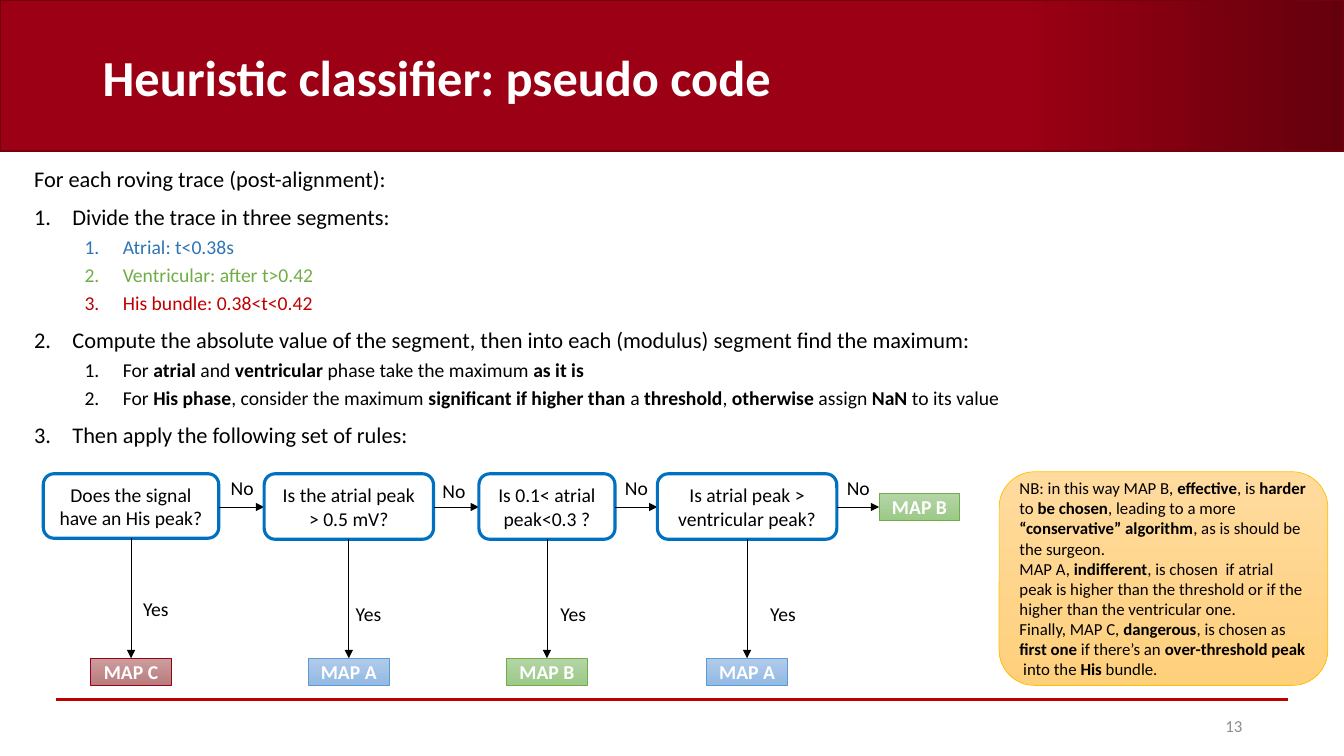
import pptx
import pptx.util
import pptx.dml.color
import pptx.enum.shapes
import pptx.enum.text
import lxml.etree
import pptx.oxml.ns

Inches = pptx.util.Inches
Pt = pptx.util.Pt
SHAPES = pptx.enum.shapes.MSO_SHAPE
ALIGN = pptx.enum.text.PP_ALIGN
ANCHOR = pptx.enum.text.MSO_ANCHOR

# Bold words stand between ** marks.
TITLE = "**Heuristic classifier: pseudo code**"
PAGE_NUMBER = "13"

# Outline level (None is unnumbered), colour name, text
STEPS = [
    (None, "black", "For each roving trace (post-alignment):"),
    (0, "black", "Divide the trace in three segments:"),
    (1, "atrial", "Atrial: t<0.38s"),
    (1, "ventricular", "Ventricular: after t>0.42"),
    (1, "red", "His bundle: 0.38<t<0.42"),
    (0, "black", "Compute the absolute value of the segment, then into each "
                 "(modulus) segment find the maximum:"),
    (1, "black", "For **atrial** and **ventricular** phase take the maximum **as it is**"),
    (1, "black", "For **His phase**, consider the maximum **significant if higher than** a "
                 "**threshold**, **otherwise** assign **NaN** to its value"),
    (0, "black", "Then apply the following set of rules:"),
]

# Question, left, width, height, map on yes, place of "Yes", place of "No"
QUESTIONS = [
    ("Does the signal have an His peak?", 0.43, 1.74, 0.64, "MAP C", (1.32, 5.87), (2.19, 4.67)),
    ("Is the atrial peak > 0.5 mV?", 2.62, 1.68, 0.65, "MAP A", (3.43, 5.92), (4.29, 4.7)),
    ("Is 0.1< atrial peak<0.3 ?", 4.75, 1.35, 0.65, "MAP B", (5.46, 5.92), (6.1, 4.67)),
    ("Is atrial peak > ventricular peak?", 6.52, 1.78, 0.65, "MAP A", (7.54, 5.92), (8.3, 4.67)),
]
LAST_MAP = "MAP B"

NOTES = [
    "NB: in this way MAP B, **effective**, is **harder** to **be chosen**, leading to a more "
    "**“conservative” algorithm**, as is should be the surgeon.",
    "MAP A, **indifferent**, is chosen  if atrial peak is higher than the threshold or if "
    "the higher than the ventricular one.",
    "Finally, MAP C, **dangerous**, is chosen as **first one** if there’s an "
    "**over-threshold peak ** into the **His** bundle.",
]

THEME = {
    "font": "Calibri",
    "size": {"title": 36, "step": 16, "substep": 14, "flow": 14, "note": 12, "page": 12},
    "color": {"black": "000000", "white": "FFFFFF", "gray": "8C8C8C", "red": "C00000",
              "atrial": "2E75B6", "ventricular": "70AD47", "question": "0070C0"},
    # Gradient start, gradient end, outline
    "panel": {"banner": ("9B0014", "64000C", "73000F"),
              "MAP A": ("B1CBE9", "93B9E4", "5B9BD5"),
              "MAP B": ("B5D5A7", "9CC987", "70AD47"),
              "MAP C": ("CC9D9E", "B97C7D", "9B0014"),
              "note": ("FFDB9E", "FFD07C", "FFC000")},
}
SIZE, COLOR = THEME["size"], THEME["color"]

FLOW_TOP, FLOW_MIDDLE, MAP_TOP = 4.7, 5.03, 6.53
MAP_WIDTH, MAP_HEIGHT = 0.8, 0.27
LAST_MAP_LEFT = 8.72

presentation = pptx.Presentation()
presentation.slide_width, presentation.slide_height = Inches(13.33), Inches(7.5)
slide = presentation.slides.add_slide(presentation.slide_layouts[6])


def rgb(value):
    return pptx.dml.color.RGBColor.from_string(value)


def write(paragraph, text, size, color="black", align=None):
    """Fill a paragraph, switching bold at each ** mark."""
    paragraph.alignment = align
    for index, part in enumerate(text.split("**")):
        if part:
            run = paragraph.add_run()
            run.text = part
            run.font.name = THEME["font"]
            run.font.size = Pt(SIZE[size])
            run.font.bold = index % 2 == 1
            run.font.color.rgb = rgb(COLOR[color])


def add_text(left, top, width, height, text, anchor=ANCHOR.TOP, **text_format):
    frame = slide.shapes.add_textbox(*map(Inches, (left, top, width, height))).text_frame
    frame.word_wrap = True
    frame.vertical_anchor = anchor
    write(frame.paragraphs[0], text, **text_format)


def add_box(kind, left, top, width, height, line_color, line_width):
    shape = slide.shapes.add_shape(kind, *map(Inches, (left, top, width, height)))
    shape.shadow.inherit = False
    shape.fill.background()
    shape.line.color.rgb = rgb(line_color)
    shape.line.width = Pt(line_width)
    shape.text_frame.word_wrap = True
    shape.text_frame.vertical_anchor = ANCHOR.MIDDLE
    return shape


def add_panel(kind, left, top, width, height, panel, line_width=0.5, angle=270, start=0):
    """Add a box with a two-colour gradient that begins at the given fraction."""
    first, last, outline = THEME["panel"][panel]
    shape = add_box(kind, left, top, width, height, outline, line_width)
    shape.fill.gradient()
    shape.fill.gradient_angle = angle
    for stop, color, position in zip(shape.fill.gradient_stops, (first, last), (start, 1)):
        stop.color.rgb = rgb(color)
        stop.position = position
    return shape


def add_line(start, end, color="black", width=0.5, arrow=True):
    connector = slide.shapes.add_connector(
        pptx.enum.shapes.MSO_CONNECTOR.STRAIGHT, *map(Inches, (*start, *end)))
    connector.line.color.rgb = rgb(COLOR[color])
    connector.line.width = Pt(width)
    qn = pptx.oxml.ns.qn
    if arrow:
        lxml.etree.SubElement(connector.line._get_or_add_ln(), qn("a:tailEnd"), type="triangle")
    lxml.etree.SubElement(connector._element.spPr, qn("a:effectLst"))


def add_map(name, left, top):
    shape = add_panel(SHAPES.RECTANGLE, left, top, MAP_WIDTH, MAP_HEIGHT, name)
    write(shape.text_frame.paragraphs[0], f"**{name}**", size="flow", color="white",
          align=ALIGN.CENTER)


def add_steps():
    frame = slide.shapes.add_textbox(*map(Inches, (0.24, 1.62, 10.66, 4.51))).text_frame
    frame.word_wrap = True
    for index, (level, color, text) in enumerate(STEPS):
        paragraph = frame.add_paragraph() if index else frame.paragraphs[0]
        write(paragraph, text, size="substep" if level else "step", color=color)
        paragraph.level = level or 0
        paragraph.line_spacing = 0.9
        paragraph.space_before = Pt(5 if level else 10)
        if level is not None:
            properties = paragraph._p.get_or_add_pPr()
            properties.set("marL", str(Inches(0.38 + 0.5 * level)))
            properties.set("indent", str(Inches(-0.38)))
            lxml.etree.SubElement(properties, pptx.oxml.ns.qn("a:buAutoNum"),
                                  type="arabicPeriod")


def add_flow():
    next_lefts = [question[1] for question in QUESTIONS[1:]] + [LAST_MAP_LEFT]
    for question, next_left in zip(QUESTIONS, next_lefts):
        text, left, width, height, map_name, yes_place, no_place = question
        center, bottom = left + width / 2, FLOW_TOP + height
        box = add_box(SHAPES.ROUNDED_RECTANGLE, left, FLOW_TOP, width, height,
                      COLOR["question"], 2.25)
        write(box.text_frame.paragraphs[0], text, size="flow", align=ALIGN.CENTER)
        add_map(map_name, center - MAP_WIDTH / 2, MAP_TOP)
        add_line((center, bottom), (center, MAP_TOP))
        add_line((left + width, FLOW_MIDDLE), (next_left, FLOW_MIDDLE))
        for answer, place in (("Yes", yes_place), ("No", no_place)):
            add_text(*place, 0.55, 0.34, answer, size="flow")
    add_map(LAST_MAP, LAST_MAP_LEFT, FLOW_MIDDLE - MAP_HEIGHT / 2)


def add_note():
    frame = add_panel(SHAPES.ROUNDED_RECTANGLE, 9.91, 4.68, 3.26, 2.12, "note").text_frame
    for index, text in enumerate(NOTES):
        paragraph = frame.add_paragraph() if index else frame.paragraphs[0]
        write(paragraph, text, size="note", align=ALIGN.LEFT)


add_panel(SHAPES.RECTANGLE, 0, 0, 13.33, 1.5, "banner", line_width=1, angle=0, start=0.76)
add_line((0.56, 6.94), (12.77, 6.94), color="red", width=1.5, arrow=False)
add_text(0.92, 0.23, 10.83, 1.06, TITLE, anchor=ANCHOR.MIDDLE, size="title", color="white")
add_text(9.42, 7, 3, 0.4, PAGE_NUMBER, anchor=ANCHOR.MIDDLE, size="page", color="gray",
         align=ALIGN.RIGHT)
add_steps()
add_flow()
add_note()
presentation.save("out.pptx")
